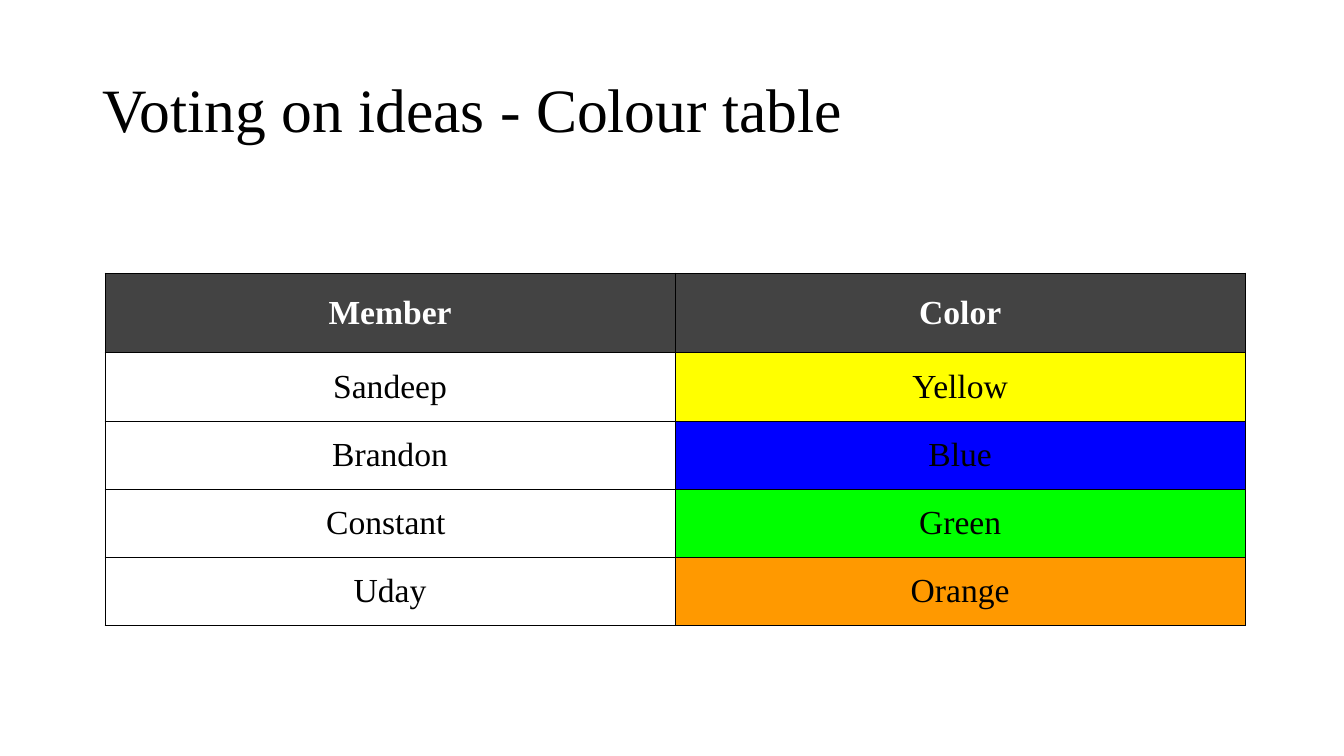
"""Build a slide with a table of team members and their voting colours."""
from dataclasses import dataclass

from lxml.etree import SubElement
from pptx import Presentation
from pptx.dml.color import RGBColor
from pptx.enum.text import MSO_ANCHOR, PP_ALIGN
from pptx.oxml.ns import qn
from pptx.util import Pt

PX = 9525


@dataclass(frozen=True)
class Theme:
    font: str = "Times New Roman"
    title_size: int = 44
    cell_size: int = 24
    border_width: float = 0.75
    text: str = "000000"
    paper: str = "FFFFFF"
    header: str = "434343"


class SlideBuilder:
    def __init__(self, prs, theme):
        self.theme = theme
        self.slide = prs.slides.add_slide(prs.slide_layouts[5])

    def style(self, p, size, color, bold=False):
        p.font.name = self.theme.font
        p.font.size = Pt(size)
        p.font.bold = bold
        p.font.color.rgb = RGBColor.from_string(color)

    def title(self, text, left, top, width, height, inset):
        sp = self.slide.shapes.title
        sp.left, sp.top, sp.width, sp.height = (
            v * PX for v in (left, top, width, height))
        tf = sp.text_frame
        tf.text = text
        tf.word_wrap = True
        tf.vertical_anchor = MSO_ANCHOR.MIDDLE
        tf.margin_left = tf.margin_right = inset * PX
        tf.margin_top = tf.margin_bottom = inset * PX
        p = tf.paragraphs[0]
        p.alignment = PP_ALIGN.LEFT
        p.line_spacing = 0.9
        self.style(p, self.theme.title_size, self.theme.text)

    def borders(self, cell):
        tcPr = cell._tc.get_or_add_tcPr()
        for side in ("lnL", "lnR", "lnT", "lnB"):
            ln = SubElement(tcPr, qn(f"a:{side}"), w=str(Pt(self.theme.border_width)))
            fill = SubElement(ln, qn("a:solidFill"))
            SubElement(fill, qn("a:srgbClr"), val=self.theme.text)

    def cell(self, cell, text, fill, color, bold, inset):
        self.borders(cell)
        cell.fill.solid()
        cell.fill.fore_color.rgb = RGBColor.from_string(fill)
        cell.vertical_anchor = MSO_ANCHOR.MIDDLE
        cell.margin_left = cell.margin_right = inset * PX
        cell.margin_top = cell.margin_bottom = inset * PX
        cell.text = text
        p = cell.text_frame.paragraphs[0]
        p.alignment = PP_ALIGN.CENTER
        self.style(p, self.theme.cell_size, color, bold)

    def color_table(self, header, votes, left, top, col_width,
                    header_height, row_height, inset):
        th = self.theme
        heights = [header_height] + [row_height] * len(votes)
        table = self.slide.shapes.add_table(
            len(heights), len(header), left * PX, top * PX,
            col_width * len(header) * PX, sum(heights) * PX).table
        table.horz_banding = False
        for column in table.columns:
            column.width = col_width * PX
        for row, height in zip(table.rows, heights):
            row.height = height * PX
        for c, text in enumerate(header):
            self.cell(table.cell(0, c), text, th.header, th.paper, True, inset)
        for r, (member, color, fill) in enumerate(votes, 1):
            self.cell(table.cell(r, 0), member, th.paper, th.text, False, inset)
            self.cell(table.cell(r, 1), color, fill, th.text, False, inset)


def main():
    prs = Presentation()
    prs.slide_width, prs.slide_height = 1280 * PX, 720 * PX
    s = SlideBuilder(prs, Theme())
    s.title("Voting on ideas - Colour table", 88, 38, 1104, 139, inset=10)
    votes = [
        ("Sandeep", "Yellow", "FFFF00"),
        ("Brandon", "Blue", "0000FF"),
        ("Constant ", "Green", "00FF00"),
        ("Uday", "Orange", "FF9900"),
    ]
    s.color_table(("Member", "Color"), votes, left=100, top=260, col_width=543,
                  header_height=76, row_height=65, inset=10)
    prs.save("out.pptx")


if __name__ == "__main__":
    main()
